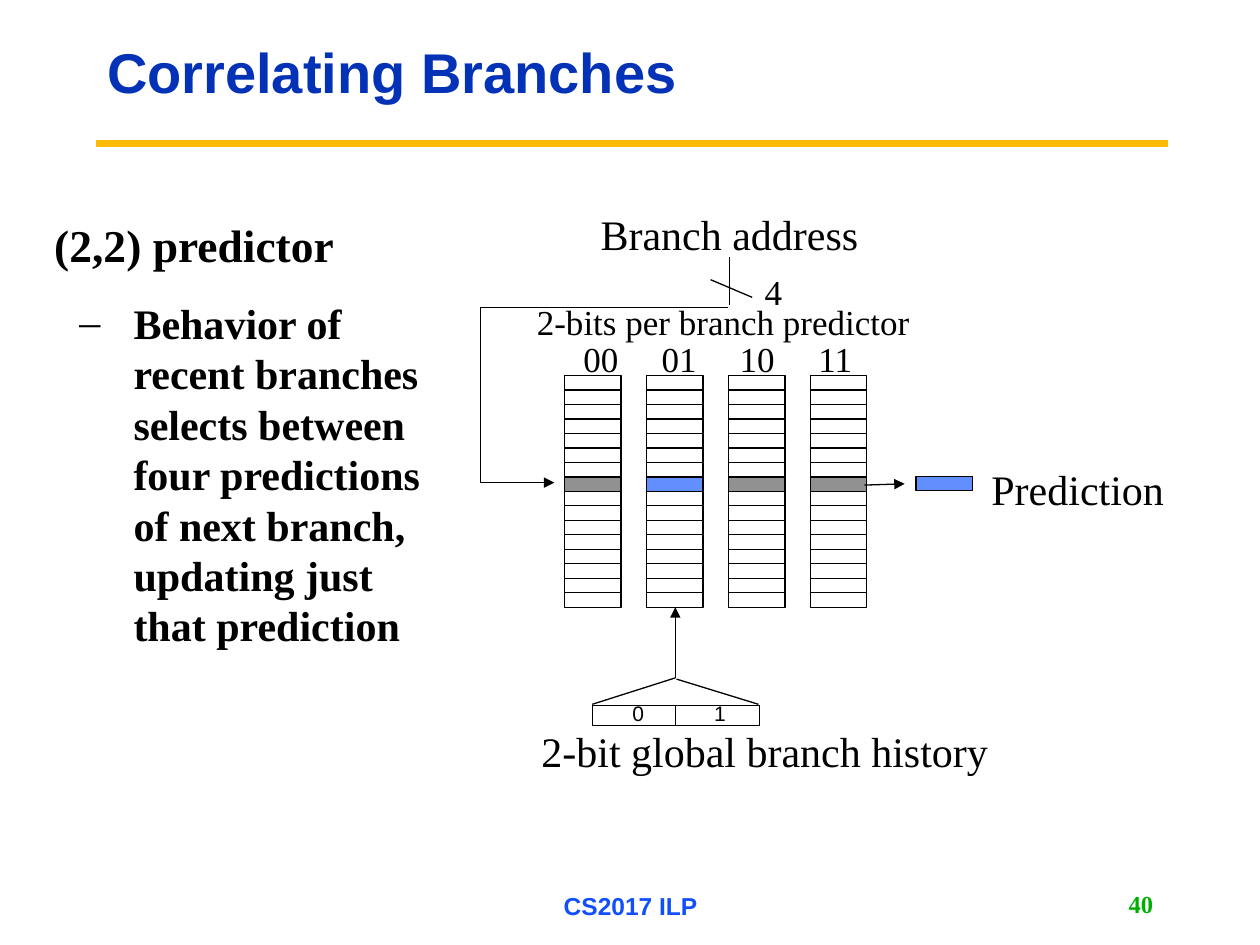
from lxml import etree
from pptx import Presentation
from pptx.dml.color import RGBColor
from pptx.enum import shapes, text
from pptx.oxml import ns
from pptx.util import Inches, Pt

colour = RGBColor.from_string
SERIF, SANS = "Times New Roman", "Arial"
BLACK, BLUE, GREY = "000000", "618FFD", "919191"
LEFT, CENTER, RIGHT = text.PP_ALIGN.LEFT, text.PP_ALIGN.CENTER, text.PP_ALIGN.RIGHT
TOP, MIDDLE = text.MSO_ANCHOR.TOP, text.MSO_ANCHOR.MIDDLE


def write(box, words, size=24, font=SERIF, fill=BLACK, bold=False, align=LEFT,
          spacing=1.0, before=0, bullet=None, margin=0, indent=0):
    """Add one formatted paragraph to a box, filling its empty first one."""
    frame = box.text_frame
    para = frame.paragraphs[0] if not frame.text else frame.add_paragraph()
    props = para._p.get_or_add_pPr()
    props.set("marL", str(Inches(margin)))
    props.set("indent", str(Inches(indent)))
    if bullet:
        etree.SubElement(props, ns.qn("a:buFont"), typeface=font)
        etree.SubElement(props, ns.qn("a:buChar"), char=bullet)
    else:
        etree.SubElement(props, ns.qn("a:buNone"))
    para.alignment = align
    para.line_spacing = spacing
    para.space_before = Pt(before)
    span = para.add_run()
    span.text = words
    span.font.size = Pt(size)
    span.font.name = font
    span.font.bold = bold
    span.font.color.rgb = colour(fill)


def connect(parent, start, end, arrow=False, stroke=BLACK, width=0.75,
            kind=shapes.MSO_CONNECTOR.STRAIGHT):
    """Draw a line between two points given in inches."""
    link = parent.add_connector(kind, *map(Inches, start + end))
    link.line.color.rgb = colour(stroke)
    link.line.width = Pt(width)
    if arrow:
        etree.SubElement(link.line._get_or_add_ln(), ns.qn("a:tailEnd"), type="triangle")
    etree.SubElement(link._element.spPr, ns.qn("a:effectLst"))
    return link


deck = Presentation()
deck.slide_width, deck.slide_height = Inches(10), Inches(7.5)
page = deck.slides.add_slide(deck.slide_layouts[1])

# Title, rule and list
title, body = page.placeholders
for box, place, anchor in ((title, (0.75, 0.41, 7.98, 0.38), MIDDLE),
                           (body, (0.33, 1.67, 3.33, 3.54), TOP)):
    box.left, box.top, box.width, box.height = map(Inches, place)
    box.text_frame.vertical_anchor = anchor
    box.text_frame.auto_size = text.MSO_AUTO_SIZE.NONE
write(title, "Correlating Branches", size=32, font=SANS, fill="0332B7", bold=True, spacing=0.9)
connect(page.shapes, (0.76, 1.14), (9.27, 1.14), stroke="FBBA03", width=3.75)
write(body, "(2,2) predictor", size=26, bold=True)
write(body, "Behavior of recent branches selects between four predictions "
      "of next branch, updating just that prediction",
      bold=True, before=15, bullet="–", margin=0.63, indent=-0.43)
body.text_frame.paragraphs[1].level = 1

# Four predictor columns of 16 entries, the prediction and the history register
history = page.shapes.add_group_shape().shapes
cell_width, cell_height = 0.45, 1.84 / 16
rects = [(page.shapes, 7.27, 3.78, cell_width, cell_height, BLUE),
         (history, 4.7, 5.6, 1.33, 0.16, None)]
for column in range(4):
    for row in range(16):
        fill = None
        if row == 7:
            fill = BLUE if column == 1 else GREY
        rects.append((page.shapes, 4.48 + 0.65 * column, 2.98 + cell_height * row,
                      cell_width, cell_height, fill))
for parent, left, top, width, height, fill in rects:
    rect = parent.add_shape(shapes.MSO_SHAPE.RECTANGLE,
                            *map(Inches, (left, top, width, height)))
    rect.shadow.inherit = False
    rect.line.color.rgb = colour(BLACK)
    rect.line.width = Pt(0.75)
    if fill:
        rect.fill.solid()
        rect.fill.fore_color.rgb = colour(fill)
    else:
        rect.fill.background()

# Branch address path into the selected row
path_in = connect(page.shapes, (5.78, 2.44), (4.4, 3.83), arrow=True,
                  kind=shapes.MSO_CONNECTOR.ELBOW)
geometry = path_in._element.spPr.find(ns.qn("a:prstGeom"))
guides = geometry.find(ns.qn("a:avLst"))
if guides is None:
    guides = etree.SubElement(geometry, ns.qn("a:avLst"))
etree.SubElement(guides, ns.qn("a:gd"), name="adj1", fmla="val 142500")
connect(page.shapes, (5.79, 2.42), (5.79, 2.04))
connect(page.shapes, (5.64, 2.22), (5.97, 2.36))

# Arrows to the prediction and from the history
connect(page.shapes, (6.86, 3.85), (7.18, 3.84), arrow=True)
connect(page.shapes, (5.36, 5.38), (5.36, 4.82), arrow=True)
for start, end in (((5.37, 5.39), (6.02, 5.59)), ((4.7, 5.59), (5.36, 5.38)),
                   ((5.36, 5.6), (5.36, 5.75))):
    connect(history, start, end)

# Labels and footer: place, anchor, words, format
labels = [
    ((4.64, 1.7, 2.3, 0.31), MIDDLE, "Branch address", dict(align=CENTER)),
    ((5.97, 2.1, 0.37, 0.44), TOP, "4", dict(size=20)),
    ((3.7, 2.39, 4.08, 0.33), MIDDLE, "2-bits per branch predictor",
     dict(size=20, align=CENTER)),
    ((7.77, 3.63, 1.65, 0.5), TOP, "Prediction", {}),
    ((4.12, 5.78, 3.9, 0.35), MIDDLE, "2-bit global branch history", dict(align=CENTER)),
    ((3.42, 7.03, 3.17, 0.31), MIDDLE, "CS2017 ILP",
     dict(size=14, font=SANS, fill="114FFB", bold=True, align=CENTER)),
    ((7.17, 7.01, 2.08, 0.32), MIDDLE, "40",
     dict(size=14, fill="00AE00", bold=True, align=RIGHT)),
]
for column, header in enumerate(("00", "01", "10", "11")):
    labels.append(((4.47 + 0.62 * column, 2.68, 0.6, 0.33), MIDDLE, header,
                   dict(size=20, align=CENTER)))
for place, bit in enumerate("01"):
    labels.append(((4.92 + 0.65 * place, 5.51, 0.4, 0.3), TOP, bit,
                   dict(size=12, font=SANS)))
for place, anchor, words, style in labels:
    box = page.shapes.add_textbox(*map(Inches, place))
    box.text_frame.word_wrap = True
    box.text_frame.vertical_anchor = anchor
    write(box, words, **style)

deck.save("out.pptx")
